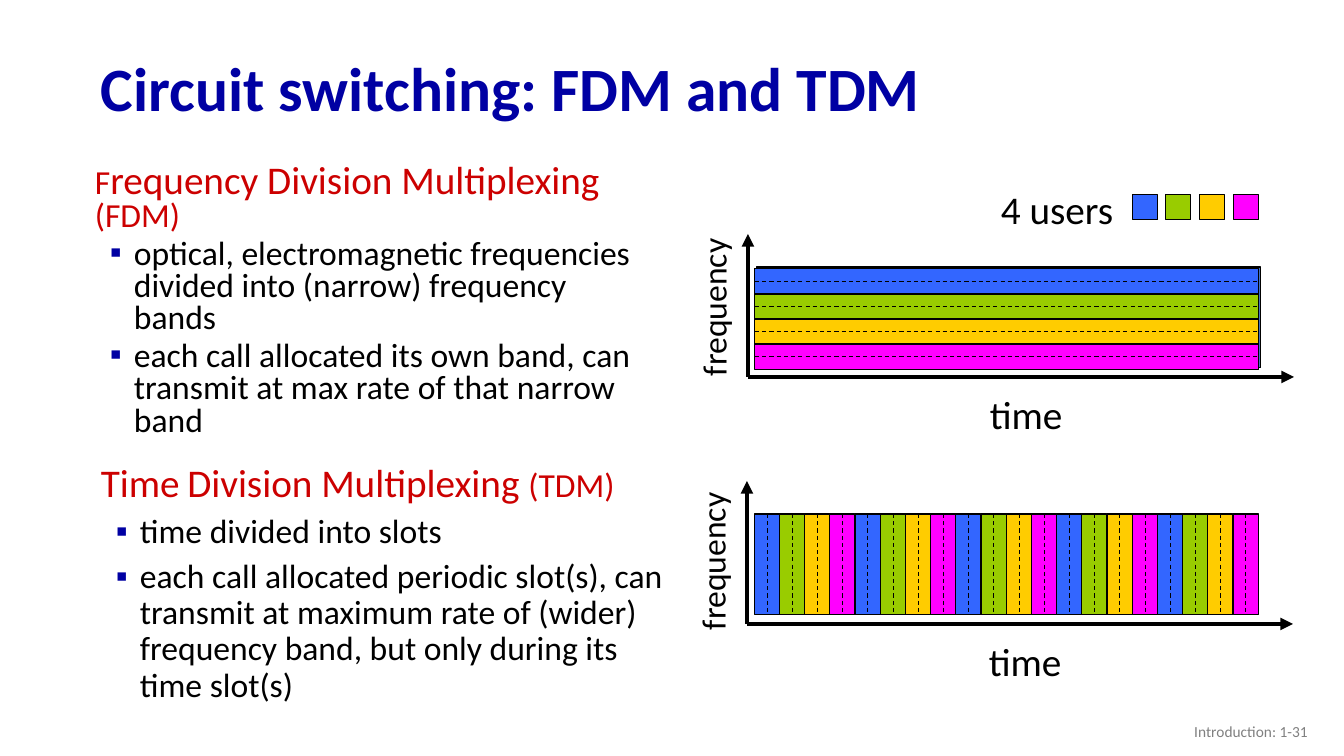
import pptx
import pptx.util
import pptx.dml.color
import pptx.enum.dml
import pptx.enum.shapes
import pptx.enum.text
import lxml.etree

SCALE = 12192000 / 1344  # EMU in one px
USERS = ["3366FF", "99CC00", "FFCC00", "FF00FF"]
BLACK, NAVY, RED, GREY = "000000", "0000A3", "CC0000", "808080"
ALIGN = pptx.enum.text.PP_ALIGN
ANCHOR = pptx.enum.text.MSO_ANCHOR


def px(n):
    return pptx.util.Emu(round(n * SCALE))


def hue(code):
    return pptx.dml.color.RGBColor.from_string(code)


def add(node, tag, **attrs):
    name = pptx.oxml.ns.qn("a:" + tag)
    return lxml.etree.SubElement(node, name, **attrs)


class Deck:
    face = "Calibri"
    thin, thick = 0.75, 3

    def __init__(self):
        self.file = pptx.Presentation()
        self.file.slide_width, self.file.slide_height = px(1344), px(756)
        self.slide = self.file.slides.add_slide(self.file.slide_layouts[6])
        self.shapes = self.slide.shapes

    def font(self, par, size, color, bold=False):
        font = par.font
        font.name, font.bold = self.face, bold
        font.size = pptx.util.Pt(size)
        font.color.rgb = hue(color)

    def box(self, x, y, w, h, wrap=True, anchor=ANCHOR.TOP):
        box = self.shapes.add_textbox(px(x), px(y), px(w), px(h))
        box.text_frame.word_wrap = wrap
        box.text_frame.vertical_anchor = anchor
        return box

    def label(self, text, x, y, w, h, size, color=BLACK, bold=False,
              align=ALIGN.LEFT, wrap=False, anchor=ANCHOR.TOP, turn=0):
        box = self.box(x, y, w, h, wrap, anchor)
        box.rotation = turn
        par = box.text_frame.paragraphs[0]
        par.text, par.alignment = text, align
        self.font(par, size, color, bold)

    def notes(self, x, y, w, h, head, points, lead, gap):
        """A red heading of (text, size) runs above bulleted points."""
        frame = self.box(x, y, w, h).text_frame
        par = frame.paragraphs[0]
        par.line_spacing = lead
        for text, size in head:
            run = par.add_run()
            run.text = text
            run.font.size = pptx.util.Pt(size)
        self.font(par, 24, RED)
        for text in points:
            par = frame.add_paragraph()
            par.text, par.line_spacing = text, lead
            par.space_before = pptx.util.Pt(gap)
            props = par._p.get_or_add_pPr()
            props.set("marL", str(px(39)))
            props.set("indent", str(px(-24)))
            add(add(props, "buClr"), "srgbClr", val=NAVY)
            add(props, "buFont", typeface="Arial")
            add(props, "buChar", char="▪")
            self.font(par, 24, BLACK)

    def rect(self, x, y, w, h, color):
        kind = pptx.enum.shapes.MSO_SHAPE.RECTANGLE
        rect = self.shapes.add_shape(kind, px(x), px(y), px(w), px(h))
        rect.shadow.inherit = False
        rect.fill.solid()
        rect.fill.fore_color.rgb = hue(color)
        rect.line.color.rgb = hue(BLACK)
        rect.line.width = pptx.util.Pt(self.thin)
        return rect

    def line(self, x, y, to_x, to_y, width=thin):
        kind = pptx.enum.shapes.MSO_CONNECTOR.STRAIGHT
        line = self.shapes.add_connector(kind, px(x), px(y), px(to_x), px(to_y))
        line.line.color.rgb = hue(BLACK)
        line.line.width = pptx.util.Pt(width)
        add(line._element.spPr, "effectLst")
        return line

    def arrow(self, x, y, to_x, to_y):
        line = self.line(x, y, to_x, to_y, self.thick)
        add(line.line._get_or_add_ln(), "tailEnd", type="triangle")

    def dash(self, cell, start, end):
        line = self.line(0, 0, 0, 0)
        line.begin_connect(cell, start)
        line.end_connect(cell, end)
        line.line.dash_style = pptx.enum.dml.MSO_LINE.DASH

    def axes(self, x, y, rise):
        """Arrows from the origin; rise is the height of the side label's middle."""
        self.arrow(x, y, x, y - 143)
        self.arrow(x, y, x + 546, y)
        self.label("frequency", x - 114, y - rise - 26, 159, 51, 24, turn=270)
        self.label("time", x + 232, y + 8, 94, 57, 28)

    def bands(self, x, y, w, h, count, rows):
        """Split a block into coloured rows or columns, each with a dashed middle."""
        full = h if rows else w
        cuts = [full * i // count for i in range(count + 1)]
        cells = []
        for i, (a, b) in enumerate(zip(cuts, cuts[1:])):
            place = (x, y + a, w, b - a) if rows else (x + a, y, b - a, h)
            cells.append(self.rect(*place, USERS[i % len(USERS)]))
        for cut in cuts[1:-1]:
            if rows:
                self.line(x, y + cut, x + w, y + cut)
            else:
                self.line(x + cut, y, x + cut, y + h)
        for cell in cells:
            self.dash(cell, *((1, 3) if rows else (0, 2)))


def main():
    deck = Deck()

    # Title and footer
    deck.label("Circuit switching: FDM and TDM", 91, 37, 1159, 99, 44, NAVY,
               bold=True, wrap=True, anchor=ANCHOR.MIDDLE)
    deck.label("Introduction: 1-31", 1016, 711, 302, 40, 11, GREY,
               align=ALIGN.RIGHT, wrap=True, anchor=ANCHOR.MIDDLE)

    # Frequency plot
    deck.axes(748, 377, 70)
    deck.rect(757, 267, 504, 101, "4472C4")
    deck.bands(755, 269, 504, 101, 4, rows=True)

    # Time plot
    deck.axes(747, 624, 63)
    deck.bands(755, 514, 504, 101, 20, rows=False)

    # Legend
    deck.label("4 users", 991, 180, 134, 57, 28)
    for i, color in enumerate(USERS):
        deck.rect(1133 + 101 * i // 3, 195, 25, 25, color)

    # Text on the left
    deck.notes(
        85, 159, 581, 317,
        [("F", 24), ("requency Division Multiplexing ", 28), ("(FDM)", 24)],
        ["optical, electromagnetic frequencies divided into (narrow) "
         "frequency bands",
         "each call allocated its own band, can transmit at max rate of "
         "that narrow band"], 0.8, 4)
    deck.notes(
        91, 459, 582, 272,
        [("Time", 28), (" ", 24), ("Division Multiplexing ", 28), ("(TDM)", 24)],
        ["time divided into slots",
         "each call allocated periodic slot(s), can transmit at maximum rate "
         "of (wider) frequency band, but only during its time slot(s)"], 0.9, 6)

    deck.file.save("out.pptx")


if __name__ == "__main__":
    main()
